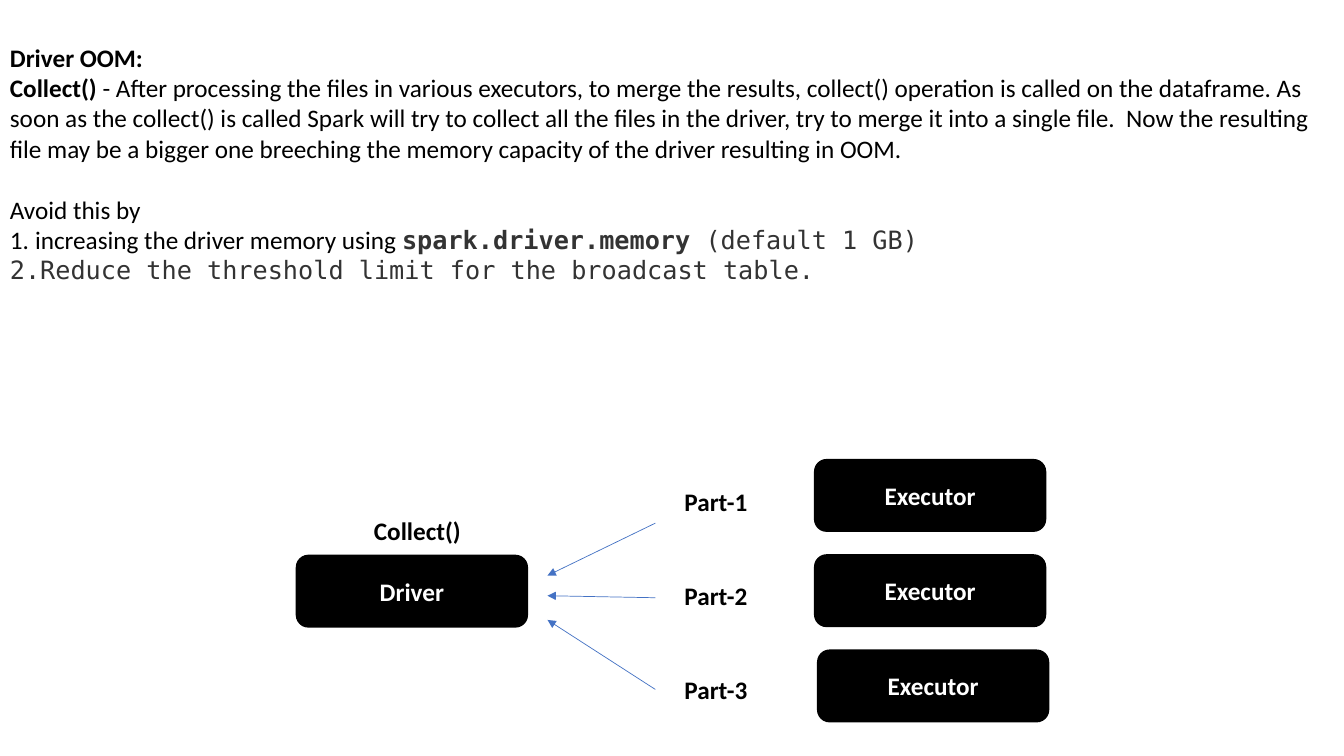
from dataclasses import dataclass

from pptx import Presentation
from pptx import util as u
from pptx.dml.color import RGBColor
from pptx.enum import shapes as sh, text as tx
from pptx.oxml.ns import qn
from lxml import etree

BLACK = RGBColor(0x00, 0x00, 0x00)
WHITE = RGBColor(0xFF, 0xFF, 0xFF)
GREY = RGBColor(0x33, 0x33, 0x33)
BLUE = RGBColor(0x44, 0x72, 0xC4)
SANS = "Calibri"
MONO = "DejaVu Sans Mono"


@dataclass
class Span:
    words: str
    bold: bool = False
    face: str = SANS
    color: RGBColor = BLACK


@dataclass
class Para:
    spans: list[Span]
    before: float = 0
    listed: bool = False


@dataclass
class Node:
    words: str
    left: float
    top: float


@dataclass
class Label:
    words: str
    left: float
    top: float
    width: float = 0.86


@dataclass
class Arrow:
    start: float
    end: float


NOTES = [
    Para([Span("Driver OOM:", True)]),
    Para([
        Span("Collect()", True),
        Span(" - After processing the files in various executors, to merge the results, "
             "collect() operation is called on the dataframe. As soon as the collect() is "
             "called Spark will try to collect all the files in the driver, try to merge it "
             "into a single file.  Now the resulting file may be a bigger one breeching the "
             "memory capacity of the driver resulting in OOM."),
    ]),
    Para([Span("Avoid this by")], before=22),
    Para([
        Span("increasing the driver memory using "),
        Span("spark.driver.memory ", True, MONO, GREY),
        Span("(default 1 GB)", False, MONO, GREY),
    ], listed=True),
    Para([Span("Reduce the threshold limit for the broadcast table.", False, MONO, GREY)],
         listed=True),
]
NODES = [Node("Executor", left, 4.56 + 0.945 * row)
         for row, left in enumerate((8.08, 8.08, 8.11))]
NODES.append(Node("Driver", 2.94, 5.51))
LABELS = [Label("Collect()", 3.61, 5.06, 1.41)]
LABELS += [Label(f"Part-{row + 1}", 6.69, 4.78 + 0.93 * row) for row in range(3)]
ARROWS = [Arrow(5.19, 5.71), Arrow(5.93, 5.91), Arrow(6.84, 6.15)]


def add_span(para, span: Span) -> None:
    run = para.add_run()
    run.text = span.words
    style = {"size": u.Pt(18), "bold": span.bold, "name": span.face}
    for key, value in style.items():
        setattr(run.font, key, value)
    run.font.color.rgb = span.color


def add_number(para) -> None:
    props = para._p.get_or_add_pPr()
    indent = u.Inches(0.25)
    for key, value in {"marL": indent, "indent": -indent}.items():
        props.set(key, str(value))
    etree.SubElement(props, qn("a:buFont"), typeface=SANS)
    etree.SubElement(props, qn("a:buAutoNum"), type="arabicPeriod")


def add_box(parent, left: float, top: float, width: float, height: float,
            paras: list[Para]) -> None:
    box = parent.add_textbox(*map(u.Inches, (left, top, width, height)))
    frame = box.text_frame
    frame.word_wrap = True
    for row, item in enumerate(paras):
        para = frame.add_paragraph() if row else frame.paragraphs[0]
        if item.listed:
            add_number(para)
        if item.before:
            para.space_before = u.Pt(item.before)
        for span in item.spans:
            add_span(para, span)


def add_node(parent, node: Node) -> None:
    shape = parent.add_shape(sh.MSO_SHAPE.ROUNDED_RECTANGLE,
                             *map(u.Inches, (node.left, node.top, 2.29, 0.71)))
    shape.shadow.inherit = False
    shape.fill.solid()
    shape.fill.fore_color.rgb = BLACK
    shape.line.color.rgb = BLACK
    shape.line.width = u.Pt(1)
    frame = shape.text_frame
    frame.vertical_anchor = tx.MSO_ANCHOR.MIDDLE
    para = frame.paragraphs[0]
    para.alignment = tx.PP_ALIGN.CENTER
    add_span(para, Span(node.words, True, color=WHITE))


def add_arrow(parent, arrow: Arrow) -> None:
    line = parent.add_connector(sh.MSO_CONNECTOR.STRAIGHT,
                                *map(u.Inches, (6.5, arrow.start, 5.43, arrow.end)))
    line.line.color.rgb = BLUE
    line.line.width = u.Pt(0.5)
    etree.SubElement(line.line._get_or_add_ln(), qn("a:tailEnd"), type="triangle")
    etree.SubElement(line._element.spPr, qn("a:effectLst"))


def main() -> None:
    deck = Presentation()
    deck.slide_width = u.Inches(13.33)
    deck.slide_height = u.Inches(7.5)
    slide = deck.slides.add_slide(deck.slide_layouts[6])
    add_box(slide.shapes, 0, 0.37, 13.33, 2.52, NOTES)
    chart = slide.shapes.add_group_shape().shapes
    for node in NODES:
        add_node(chart, node)
    for label in LABELS:
        add_box(chart, label.left, label.top, label.width, 0.4,
                [Para([Span(label.words, True)])])
    for arrow in ARROWS:
        add_arrow(chart, arrow)
    deck.save("out.pptx")


if __name__ == "__main__":
    main()
